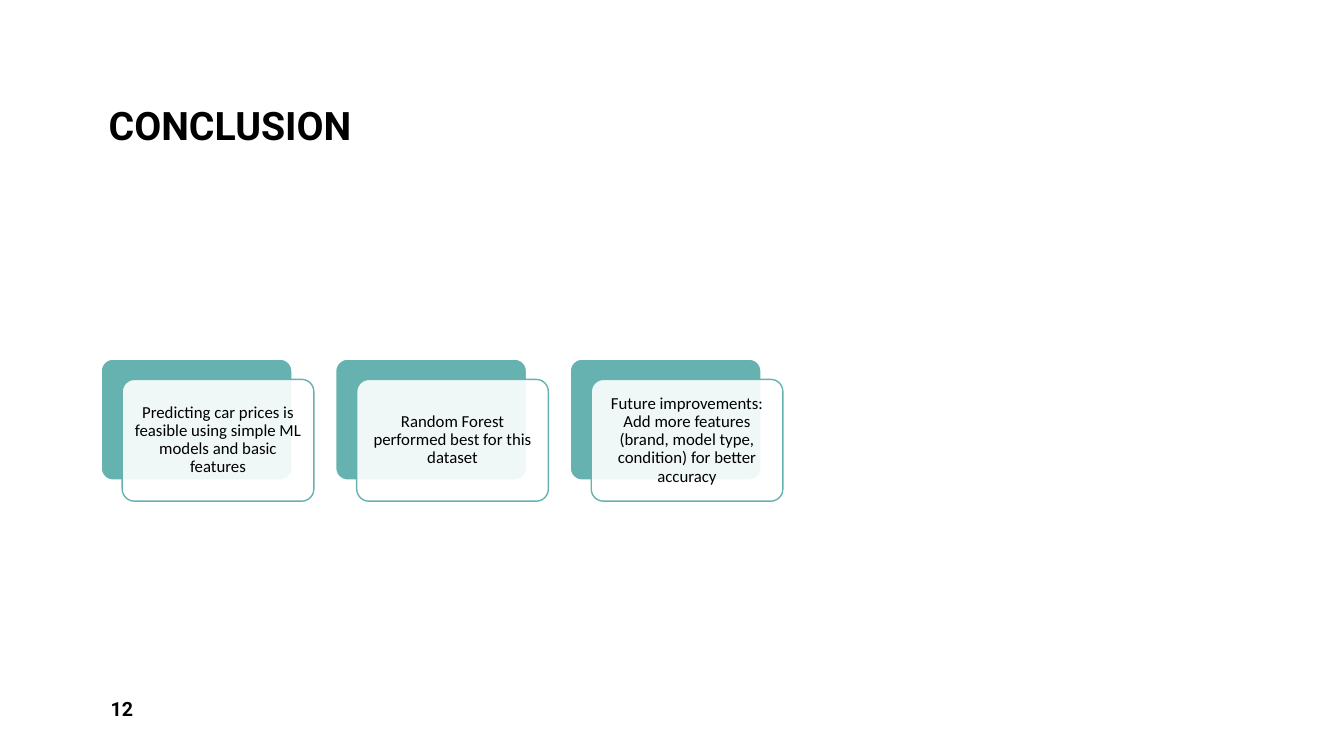
from dataclasses import dataclass

from lxml import etree
from pptx import Presentation
from pptx.dml.color import RGBColor
from pptx.enum.shapes import MSO_SHAPE
from pptx.enum.text import MSO_ANCHOR, PP_ALIGN
from pptx.oxml.ns import qn
from pptx.util import Cm, Pt

ROUND = MSO_SHAPE.ROUNDED_RECTANGLE
MIDDLE, BOTTOM = MSO_ANCHOR.MIDDLE, MSO_ANCHOR.BOTTOM
LEFT, CENTER = PP_ALIGN.LEFT, PP_ALIGN.CENTER


@dataclass(frozen=True)
class Theme:
    teal: RGBColor = RGBColor(0x66, 0xB2, 0xB0)
    white: RGBColor = RGBColor(0xFF, 0xFF, 0xFF)
    black: RGBColor = RGBColor(0, 0, 0)
    head: str = "Roboto"
    body: str = "Calibri"
    title: int = 28
    number: int = 14
    card: int = 12


THEME = Theme()

POINTS = [
    "Predicting car prices is feasible using simple ML models and basic features",
    "Random Forest performed best for this dataset",
    "Future improvements: Add more features (brand, model type, condition) for better accuracy",
]

# Card grid, in centimetres
START, TOP, PITCH = 2.54, 9.04, 5.91
WIDTH, HEIGHT = 4.83, 3.07
SHIFT_X, SHIFT_Y = 0.54, 0.52
INSET = 0.09


def add_text(slide, box, text, font, size, bold=False, anchor=MIDDLE,
             align=LEFT, spacing=1.0, after=0, margin=None):
    shape = slide.shapes.add_textbox(*map(Cm, box))
    frame = shape.text_frame
    frame.word_wrap = True
    frame.vertical_anchor = anchor
    if margin is not None:
        frame.margin_left = frame.margin_right = Cm(margin)
        frame.margin_top = frame.margin_bottom = Cm(margin)
    para = frame.paragraphs[0]
    para.alignment = align
    para.line_spacing = spacing
    para.space_after = Pt(after)
    run = para.add_run()
    run.text = text
    run.font.name = font
    run.font.size = Pt(size)
    run.font.bold = bold
    run.font.color.rgb = THEME.black


def add_panel(slide, left, top, fill, line, weight, alpha=None):
    panel = slide.shapes.add_shape(ROUND, *map(Cm, (left, top, WIDTH, HEIGHT)))
    panel.adjustments[0] = 0.1
    panel.shadow.inherit = False
    panel.fill.solid()
    panel.fill.fore_color.rgb = fill
    panel.line.color.rgb = line
    panel.line.width = Pt(weight)
    if alpha is not None:
        color = panel.fill._xPr.find(qn("a:solidFill"))[0]
        etree.SubElement(color, qn("a:alpha"), val=str(alpha * 1000))


def add_card(slide, left, text):
    # Teal backing, then the translucent front with its text
    add_panel(slide, left, TOP, THEME.teal, THEME.white, 1.5)
    x, y = left + SHIFT_X, TOP + SHIFT_Y
    add_panel(slide, x, y, THEME.white, THEME.teal, 1, alpha=90)
    box = (x + INSET, y + INSET, WIDTH - 2 * INSET, HEIGHT - 2 * INSET)
    add_text(slide, box, text, THEME.body, THEME.card, align=CENTER,
             spacing=0.9, after=4, margin=0.13)


def main():
    deck = Presentation()
    deck.slide_width, deck.slide_height = Cm(33.87), Cm(19.05)
    slide = deck.slides.add_slide(deck.slide_layouts[6])

    # Title and slide number
    add_text(slide, (2.49, 0.2, 28.91, 3.68), "CONCLUSION", THEME.head,
             THEME.title, bold=True, anchor=BOTTOM, spacing=0.9)
    add_text(slide, (2.54, 17.35, 7.42, 1.02), "12", THEME.head,
             THEME.number, bold=True, after=6)

    # Row of conclusions
    for index, text in enumerate(POINTS):
        add_card(slide, START + index * PITCH, text)

    deck.save("out.pptx")


if __name__ == "__main__":
    main()
